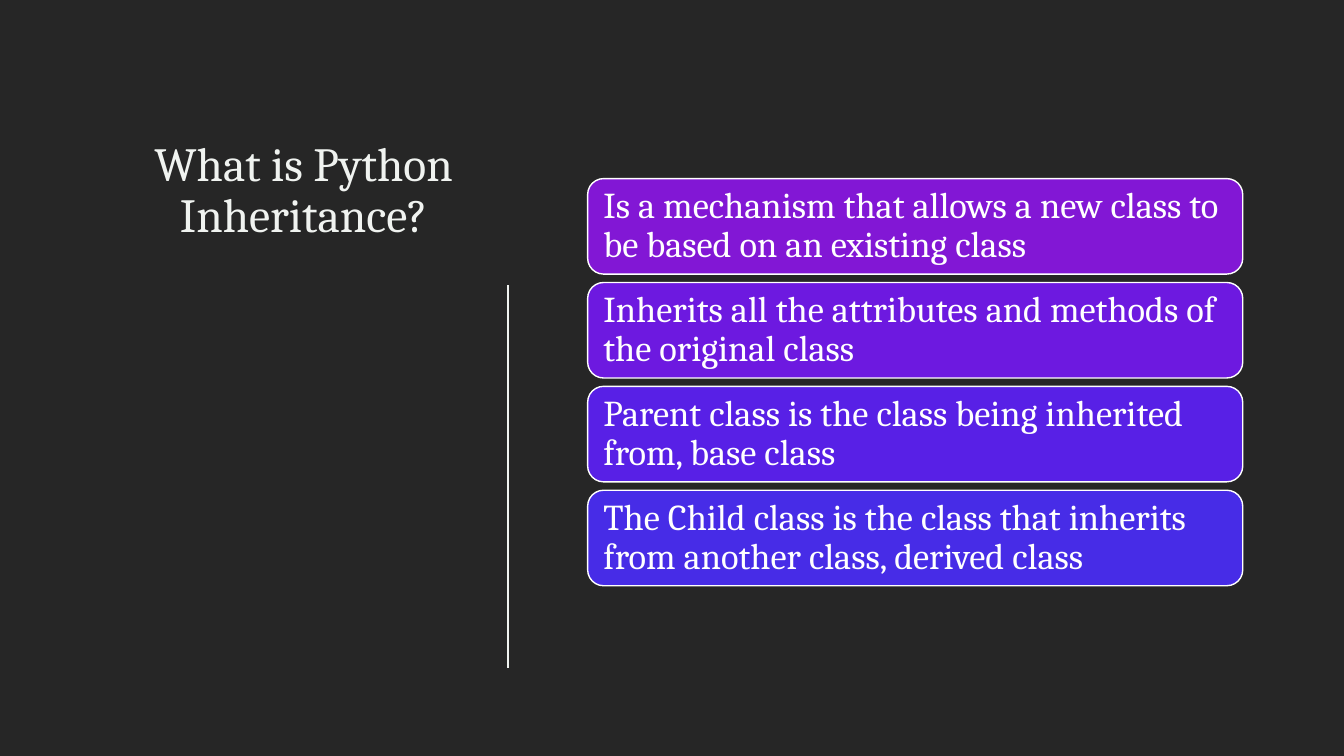
from lxml.etree import SubElement as Sub
from pptx import Presentation
from pptx.dml.color import RGBColor as Rgb
from pptx.enum.shapes import MSO_CONNECTOR as Link, MSO_SHAPE as Kind
from pptx.enum.text import MSO_ANCHOR as Anchor, PP_ALIGN as Align
from pptx.oxml.ns import qn
from pptx.util import Cm, Pt

HUES = {
    "back": "262626", "pale": "F0F3F0", "white": "FFFFFF",
    "plum": "8217D5", "violet": "6D19E0", "indigo": "5820E6", "blue": "472CE7",
}
FACTS = [
    ("plum", "Is a mechanism that allows a new class to be based on an existing class"),
    ("violet", "Inherits all the attributes and methods of the original class"),
    ("indigo", "Parent class is the class being inherited from, base class"),
    ("blue", "The Child class is the class that inherits from another class, derived class"),
]


def hue(name):
    return Rgb.from_string(HUES[name])


def style(item, **look):
    for key, val in look.items():
        setattr(item, key, val)


def paint(fill, name):
    fill.solid()
    fill.fore_color.rgb = hue(name)


def write(shape, text, size, tint, align, **look):
    frame = shape.text_frame
    style(frame, word_wrap=True, **look)
    para = frame.paragraphs[0]
    style(para, alignment=align, line_spacing=0.9)
    run = para.add_run()
    run.text = text
    style(run.font, name="Cambria", size=Pt(size))
    run.font.color.rgb = hue(tint)


# Heading, set on the bottom of its box
def add_head(slide, x, y, w, h):
    box = slide.shapes.add_textbox(Cm(x), Cm(y), Cm(w), Cm(h))
    write(box, "What is Python Inheritance?", 34, "pale", Align.CENTER,
          vertical_anchor=Anchor.BOTTOM)


# Upright rule between heading and facts
def add_rule(slide, x, y, h):
    rule = slide.shapes.add_connector(Link.STRAIGHT, Cm(x), Cm(y), Cm(x), Cm(y + h))
    rule.line.width = Pt(0.85)
    paint(rule.line.fill, "pale")
    Sub(rule._element.spPr, qn("a:effectLst"))


# Stack of fact bars, sharing the height of the box
def add_facts(slide, x, y, w, h, gap=0.21):
    tall = (h - gap * (len(FACTS) - 1)) / len(FACTS)
    for i, (name, text) in enumerate(FACTS):
        top = y + i * (tall + gap)
        bar = slide.shapes.add_shape(Kind.ROUNDED_RECTANGLE, Cm(x), Cm(top), Cm(w), Cm(tall))
        bar.shadow.inherit = False
        paint(bar.fill, name)
        paint(bar.line.fill, "white")
        bar.line.width = Pt(1)
        # The preset's text area is already inset by its round corners
        write(bar, text, 26, "white", Align.LEFT, vertical_anchor=Anchor.MIDDLE,
              margin_left=Cm(0.28), margin_right=Cm(0.28),
              margin_top=Cm(0.1), margin_bottom=Cm(0.1))


def main():
    deck = Presentation()
    style(deck, slide_width=Cm(33.87), slide_height=Cm(19.05))
    slide = deck.slides.add_slide(deck.slide_layouts[6])
    paint(slide.background.fill, "back")
    add_head(slide, 2.18, 2.24, 10.95, 4.01)
    add_rule(slide, 12.8, 7.19, 9.63)
    add_facts(slide, 14.81, 4.5, 16.51, 10.26)
    deck.save("out.pptx")


if __name__ == "__main__":
    main()
